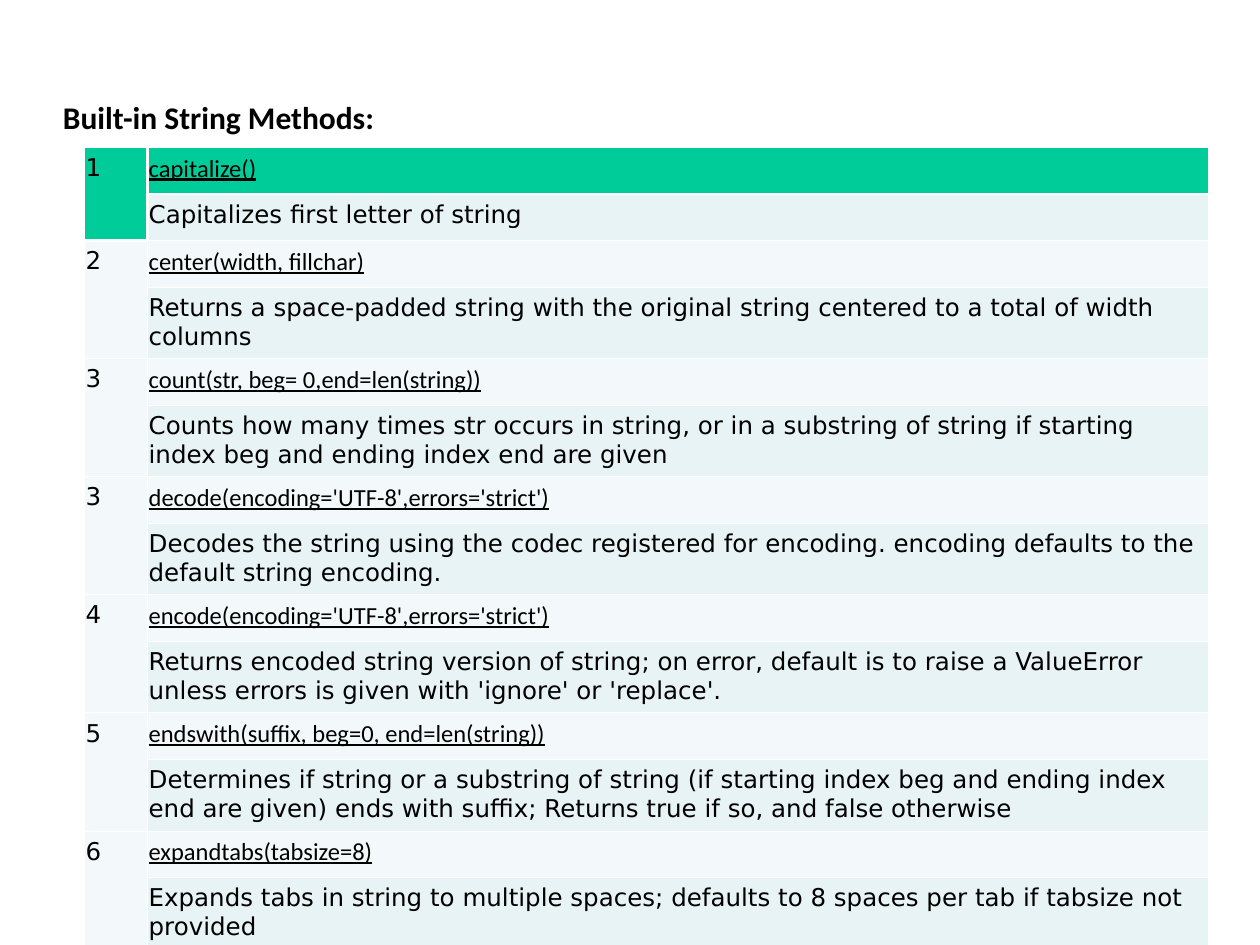
from lxml import etree
from pptx import Presentation
from pptx.dml.color import RGBColor
from pptx.enum.text import MSO_ANCHOR
from pptx.oxml.ns import qn
from pptx.util import Inches, Pt

MIDDLE = MSO_ANCHOR.MIDDLE
GREEN, PALE, MIST = "00CC99", "F3F9FA", "E7F3F4"
THIN, THICK = 0.45, 1.47

METHODS = [
    ("1", "capitalize()", "Capitalizes first letter of string"),
    ("2", "center(width, fillchar)",
     "Returns a space-padded string with the original string centered "
     "to a total of width columns"),
    ("3", "count(str, beg= 0,end=len(string))",
     "Counts how many times str occurs in string, or in a substring of string "
     "if starting index beg and ending index end are given"),
    ("3", "decode(encoding='UTF-8',errors='strict')",
     "Decodes the string using the codec registered for encoding. "
     "encoding defaults to the default string encoding."),
    ("4", "encode(encoding='UTF-8',errors='strict')",
     "Returns encoded string version of string; on error, default is to raise "
     "a ValueError unless errors is given with 'ignore' or 'replace'."),
    ("5", "endswith(suffix, beg=0, end=len(string))",
     "Determines if string or a substring of string (if starting index beg and "
     "ending index end are given) ends with suffix; Returns true if so, "
     "and false otherwise"),
    ("6", "expandtabs(tabsize=8)",
     "Expands tabs in string to multiple spaces; defaults to 8 spaces per tab "
     "if tabsize not provided"),
]

# Sides drawn thick around the header, by row and column
HEAVY = {(0, 0): "RB", (1, 0): "RB", (0, 1): "B", (1, 1): "LT", (2, 0): "T"}


def style(para, font, size, bold=False, under=False):
    for run in para.runs:
        run.font.name = font
        run.font.size = Pt(size)
        run.font.bold = bold
        run.font.underline = under
        run.font.color.rgb = RGBColor.from_string("000000")


def dress(cell, fill, heavy):
    """Give a cell its margins, white borders and fill."""
    cell.margin_left = cell.margin_right = Inches(0.01)
    cell.margin_top = cell.margin_bottom = Inches(0.05)
    props = cell._tc.get_or_add_tcPr()
    for side in "LRTB":
        width = Pt(THICK if side in heavy else THIN)
        line = etree.SubElement(props, qn("a:ln" + side), w=str(width))
        solid = etree.SubElement(line, qn("a:solidFill"))
        etree.SubElement(solid, qn("a:srgbClr"), val="FFFFFF")
    cell.fill.solid()
    cell.fill.fore_color.rgb = RGBColor.from_string(fill)


prs = Presentation()
prs.slide_width, prs.slide_height = Inches(10), Inches(7.5)
slide = prs.slides.add_slide(prs.slide_layouts[6])

title = slide.shapes.add_textbox(Inches(0.5), Inches(0.3), Inches(9), Inches(1.25))
frame = title.text_frame
frame.word_wrap = True
frame.vertical_anchor = MIDDLE
frame.margin_left = frame.margin_right = frame.margin_top = frame.margin_bottom = 0
frame.text = "Built-in String Methods:"
frame.paragraphs[0].line_spacing = 1.02
style(frame.paragraphs[0], "Calibri", 18, bold=True)

count = 2 * len(METHODS)
table = slide.shapes.add_table(
    count, 2, Inches(0.67), Inches(1.17), Inches(8.92), Inches(5.84)).table
table.first_row = table.horz_banding = False
table.columns[0].width, table.columns[1].width = Inches(0.5), Inches(8.42)
for i, row in enumerate(table.rows):
    row.height = Inches(0.48 if i > 1 and i % 2 else 0.37)

for i, (num, call, note) in enumerate(METHODS):
    top = 2 * i
    fill = PALE if i else GREEN
    cells = [(top, 0, num, fill), (top + 1, 0, "", fill),
             (top, 1, call, fill), (top + 1, 1, note, MIST)]
    for row, col, text, shade in cells:
        cell = table.cell(row, col)
        dress(cell, shade, HEAVY.get((row, col), ""))
        cell.text_frame.text = text
        named = text == call
        style(cell.text_frame.paragraphs[0],
              "Calibri" if named else "DejaVu Sans", 14, under=named)
    table.cell(top, 0).merge(table.cell(top + 1, 0))

prs.save("out.pptx")
